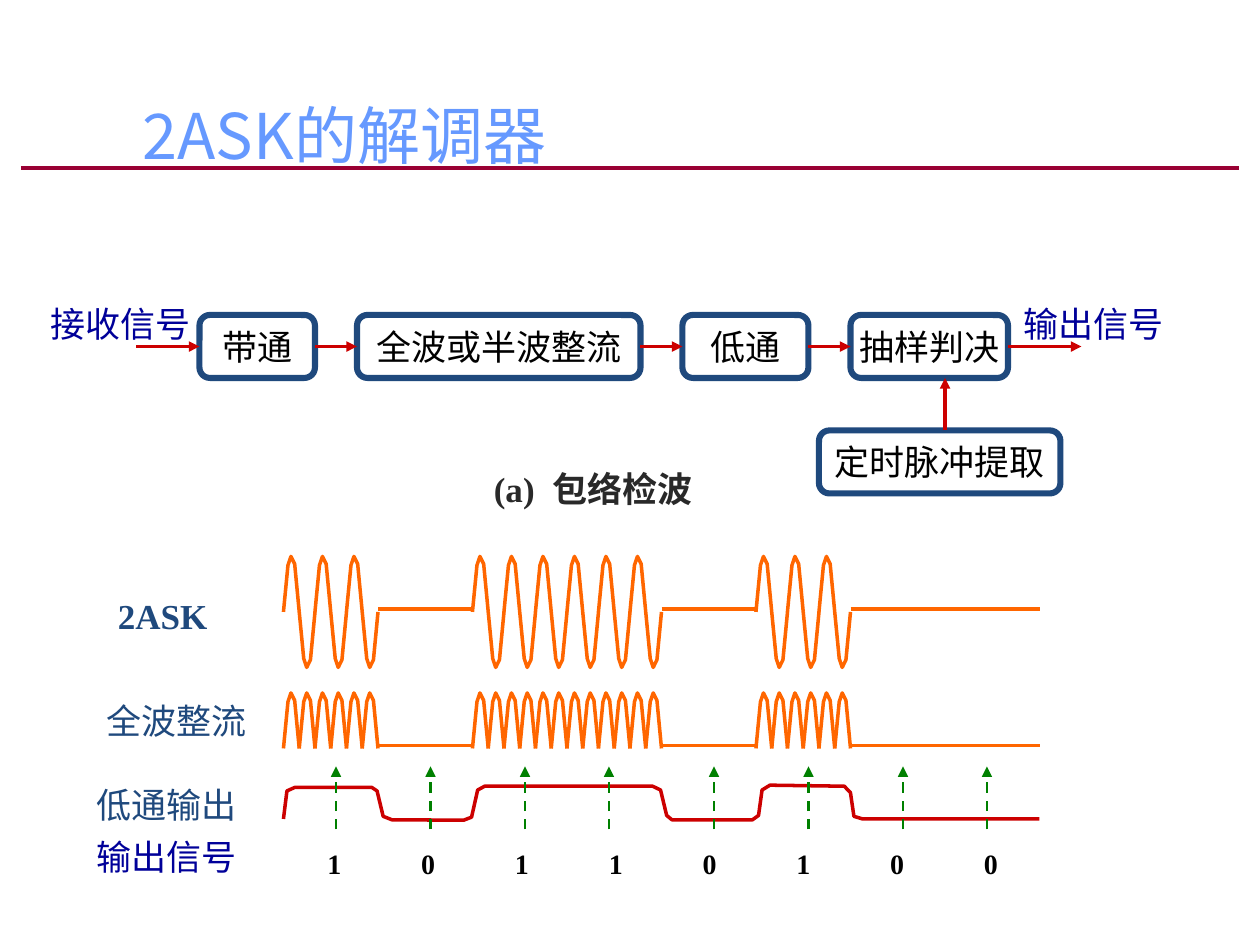
from typing import NamedTuple

from lxml.etree import SubElement
from pptx import Presentation
from pptx.dml.color import RGBColor
from pptx.enum.dml import MSO_LINE
from pptx.enum.shapes import MSO_CONNECTOR, MSO_SHAPE
from pptx.enum.text import MSO_ANCHOR, MSO_AUTO_SIZE, PP_ALIGN
from pptx.oxml.ns import qn
from pptx.util import Pt

NAVY = RGBColor(0x1F, 0x49, 0x7D)
BLUE = RGBColor(0x00, 0x00, 0x99)
SKY = RGBColor(0x66, 0x99, 0xFF)
RED = RGBColor(0xCC, 0x00, 0x00)
WINE = RGBColor(0x99, 0x00, 0x33)
ORANGE = RGBColor(0xFF, 0x66, 0x00)
GREEN = RGBColor(0x00, 0x80, 0x00)
BLACK = RGBColor(0x00, 0x00, 0x00)
DARK = RGBColor(0x29, 0x29, 0x29)
SERIF = "Times New Roman"
SANS = "Noto Sans CJK SC"


class Block(NamedTuple):
    text: str
    left: float
    top: float
    width: float
    height: float = 36
    line: RGBColor | None = NAVY
    color: RGBColor = BLACK
    bold: bool = False


class Label(NamedTuple):
    text: str
    left: float
    top: float
    width: float
    height: float
    color: RGBColor
    size: float = 20
    bold: bool = False
    align: PP_ALIGN = PP_ALIGN.LEFT
    spacing: float = 1.0
    font: str = SERIF
    wrap: bool = True
    grow: bool = True


class Link(NamedTuple):
    x1: float
    y1: float
    x2: float
    y2: float
    color: RGBColor = RED
    width: float = 2
    arrow: bool = True
    dashed: bool = False


BLOCKS = [
    Block("全波或半波整流", 204, 180, 162),
    Block("带通", 114, 180, 66),
    Block("低通", 390, 180, 72),
    Block("抽样判决", 486, 180, 90),
    Block("定时脉冲提取", 468, 246, 138),
    Block("(a)\u2002包络检波", 270, 264, 138, 30, None, DARK, True),
]
LABELS = [
    Label("接收信号", 18, 174, 102, 27, BLUE, align=PP_ALIGN.CENTER, spacing=0.8),
    Label("输出信号", 576, 174, 96, 27, BLUE, align=PP_ALIGN.RIGHT, spacing=0.8),
    Label("2ASK的解调器", 38, 43, 317.5, 52.5, SKY, 36, align=PP_ALIGN.CENTER,
          spacing=1.2, font=SANS, wrap=False, grow=False),
    Label("2ASK", 60, 336, 66, 31, NAVY, bold=True, align=PP_ALIGN.CENTER),
    Label("全波整流", 54, 396, 102, 31, NAVY),
    Label("低通输出", 48, 444, 102, 31, NAVY),
    Label("输出信号", 48, 474, 102, 31, BLUE),
]
FLOW = [(78, 114), (180, 204), (366, 390), (462, 486), (576, 618)]
SAMPLES = [192, 246, 300, 348, 408, 462, 516, 564]

BITS = "10110100"
WAVE_LEFT, BIT_WIDTH, HALF_WIDTH = 162, 54, 9
HALVES = BIT_WIDTH // HALF_WIDTH
HALF_WAVE = [(0, 0), (2.6, 26.7), (4.3, 31.7), (6.4, 27.4), (9, 0)]
LOWPASS = [
    (162, 468), (164, 452), (168.5, 450), (212.5, 450), (215.5, 452), (219, 466.5),
    (224, 468.5), (265, 468.7), (269.5, 467), (273, 451.5), (277, 449.3), (373, 449.3),
    (377.5, 451.5), (381, 466), (384, 468.5), (430, 468.5), (433.5, 466),
    (435.5, 451.5), (440, 448.7), (482.5, 449.3), (486, 453), (488, 466.5),
    (493, 468), (594, 468),
]


def fill_text(s, text: str, size: float, color: RGBColor, bold: bool,
              align: PP_ALIGN, font: str = SERIF):
    tf = s.text_frame
    tf.text = text
    p = tf.paragraphs[0]
    p.alignment = align
    r = p.runs[0]
    r.font.size, r.font.bold, r.font.name = Pt(size), bold, font
    r.font.color.rgb = color
    SubElement(r.font._element, qn("a:ea")).set("typeface", SANS)
    return p


def add_block(sp, b: Block) -> None:
    s = sp.add_shape(MSO_SHAPE.ROUNDED_RECTANGLE,
                     Pt(b.left), Pt(b.top), Pt(b.width), Pt(b.height))
    s.shadow.inherit = False
    s.fill.background()
    if b.line is None:
        s.line.fill.background()
    else:
        s.line.color.rgb, s.line.width = b.line, Pt(3.5)
    fill_text(s, b.text, 20, b.color, b.bold, PP_ALIGN.CENTER)
    s.text_frame.word_wrap = False
    s.text_frame.vertical_anchor = MSO_ANCHOR.MIDDLE


def add_label(sp, b: Label):
    s = sp.add_textbox(Pt(b.left), Pt(b.top), Pt(b.width), Pt(b.height))
    p = fill_text(s, b.text, b.size, b.color, b.bold, b.align, b.font)
    p.line_spacing = b.spacing
    s.text_frame.word_wrap = b.wrap
    s.text_frame.auto_size = (
        MSO_AUTO_SIZE.SHAPE_TO_FIT_TEXT if b.grow else MSO_AUTO_SIZE.NONE)
    return p


def add_link(sp, k: Link) -> None:
    s = sp.add_connector(MSO_CONNECTOR.STRAIGHT,
                         Pt(k.x1), Pt(k.y1), Pt(k.x2), Pt(k.y2))
    s.line.color.rgb, s.line.width = k.color, Pt(k.width)
    if k.dashed:
        s.line.dash_style = MSO_LINE.DASH
    if k.arrow:
        SubElement(s.line._get_or_add_ln(), qn("a:tailEnd")).set("type", "triangle")
    SubElement(s._element.spPr, qn("a:effectLst"))


def add_curve(sp, points: list[tuple[float, float]], color: RGBColor) -> None:
    pts = [(Pt(x), Pt(y)) for x, y in points]
    builder = sp.build_freeform(*pts[0], scale=1.0)
    builder.add_line_segments(pts[1:], close=False)
    s = builder.convert_to_shape()
    s.shadow.inherit = False
    s.fill.background()
    s.line.color.rgb, s.line.width = color, Pt(2)


def add_signal(sp, flat: float, base: float, rectified: bool) -> None:
    for i, bit in enumerate(BITS):
        left = WAVE_LEFT + i * BIT_WIDTH
        if bit == "0":
            add_link(sp, Link(left, flat, left + BIT_WIDTH, flat, ORANGE, arrow=False))
            continue
        for half in range(HALVES):
            sign = 1 if rectified or half % 2 == 0 else -1
            x = left + half * HALF_WIDTH
            add_curve(sp, [(x + dx, base - sign * dy) for dx, dy in HALF_WAVE], ORANGE)


def add_bits(sp) -> None:
    p = add_label(sp, Label("".join("\t" + bit for bit in BITS),
                            168, 480, 438, 27, BLACK, 16, True))
    tabs = SubElement(p._p.get_or_add_pPr(), qn("a:tabLst"))
    for i in range(len(BITS)):
        tab = SubElement(tabs, qn("a:tab"))
        tab.set("pos", str(Pt(16 + 53.6 * i)))
        tab.set("algn", "ctr")


prs = Presentation()
prs.slide_width, prs.slide_height = Pt(720), Pt(540)
sp = prs.slides.add_slide(prs.slide_layouts[6]).shapes

for block in BLOCKS:
    add_block(sp, block)
for x1, x2 in FLOW:
    add_link(sp, Link(x1, 198, x2, 198))
add_link(sp, Link(540, 246, 540, 216))
add_link(sp, Link(12, 96, 708, 96, WINE, arrow=False))
for label in LABELS:
    add_label(sp, label)
add_signal(sp, 348, 349.7, False)
add_signal(sp, 426, 427.7, True)
add_curve(sp, LOWPASS, RED)
add_bits(sp)
for x in SAMPLES:
    add_link(sp, Link(x, 474, x, 438, GREEN, 1.5, dashed=True))

prs.save("out.pptx")
